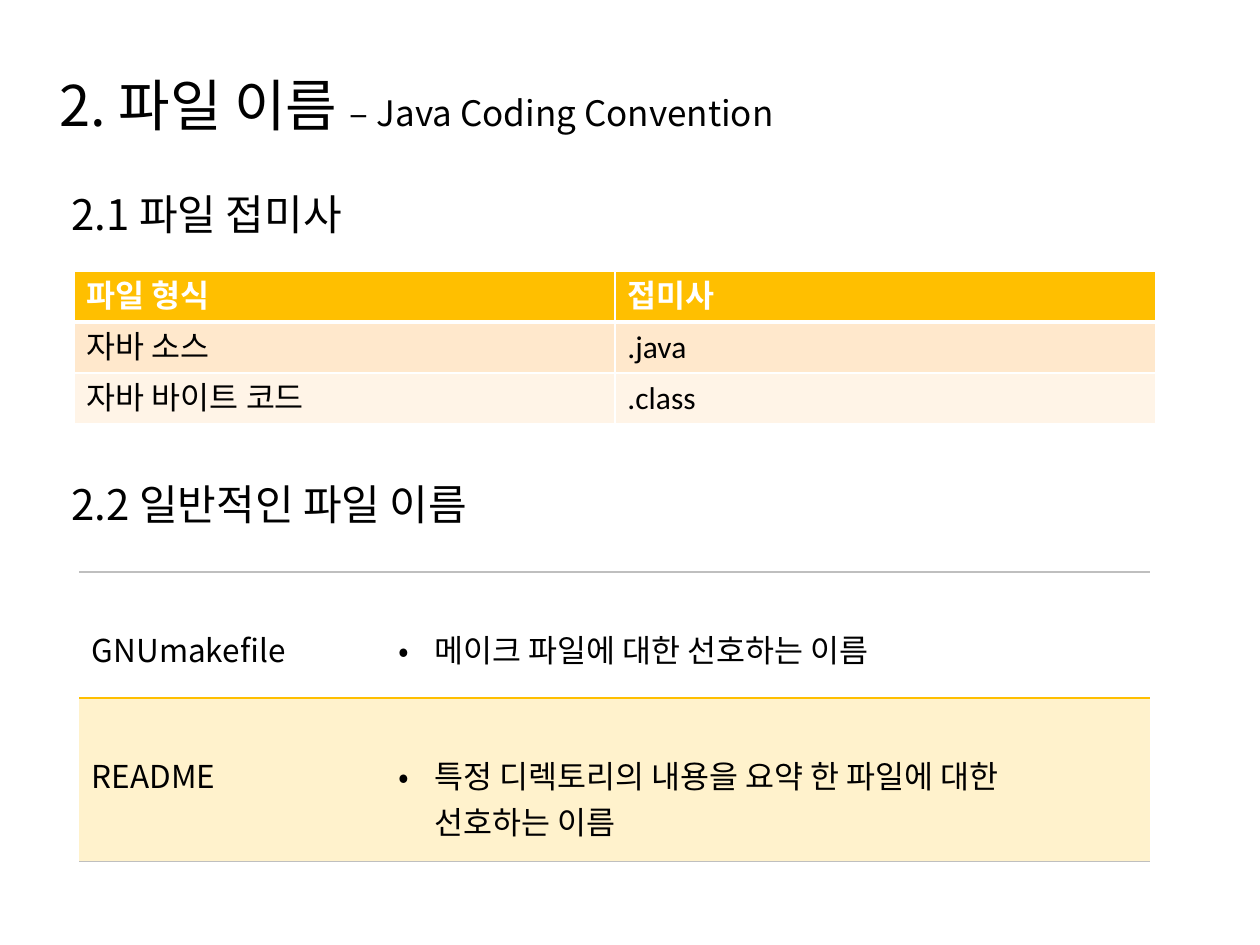
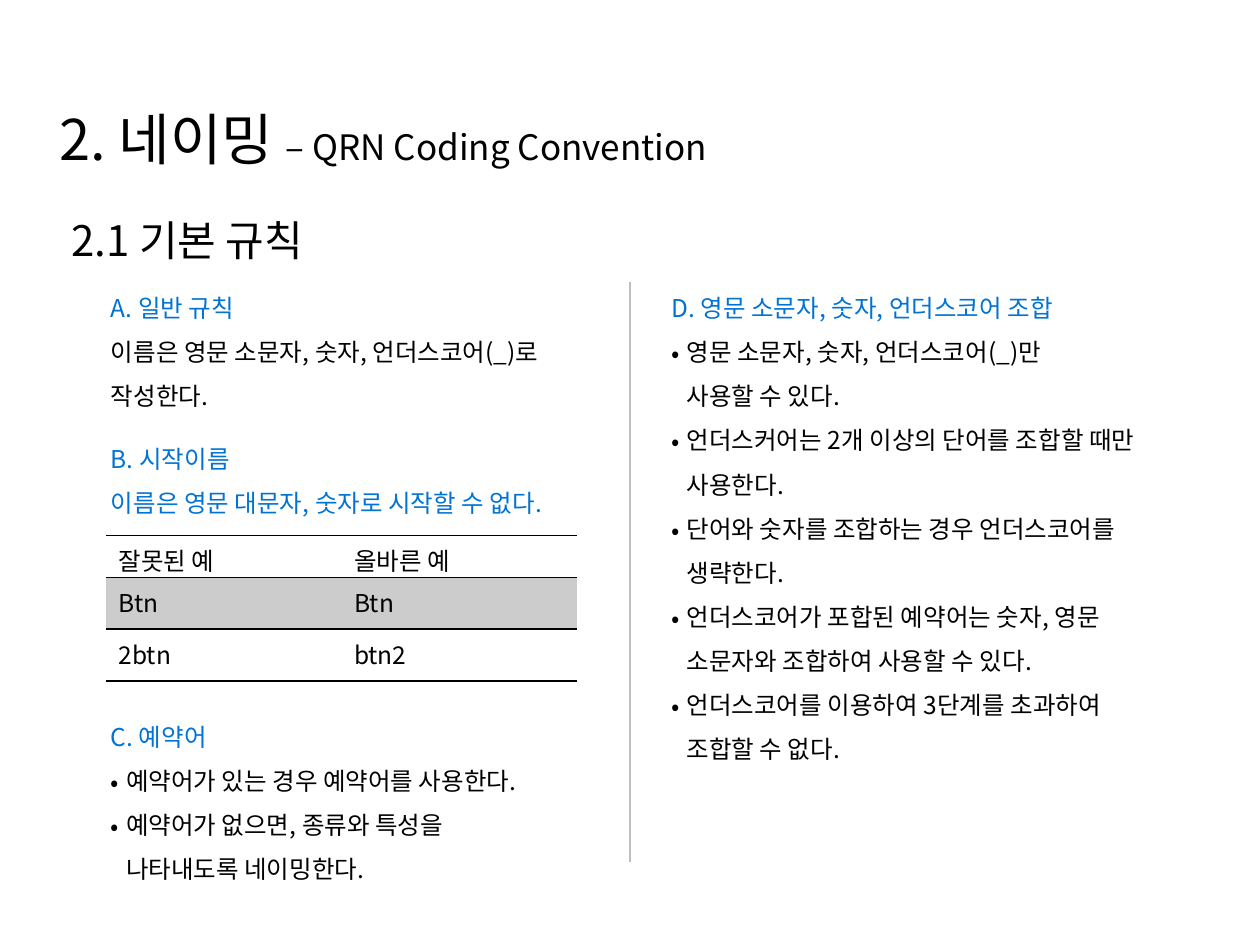
from dataclasses import dataclass

import pptx
import pptx.dml.color
import pptx.enum.shapes
import pptx.enum.text
import pptx.oxml
import pptx.oxml.ns
import pptx.util
from pptx.util import Inches

FONT = "Noto Sans CJK KR"
TABLE_FONT = "Calibri"
BLACK, WHITE, GRAY, BLUE = "000000", "FFFFFF", "BFBFBF", "0173D4"
AMBER, PALE_AMBER, MID_GRAY = "FFBF00", "FFF2CC", "CCCCCC"
PEACH, PALE_PEACH = "FFE8CC", "FFF4E7"
NO_STYLE = "{2D5ABB26-0587-4C30-8999-92F81FD0307C}"
EDGES = {"l": "a:lnL", "r": "a:lnR", "t": "a:lnT", "b": "a:lnB"}
TITLE_BOX = (0.47, 0.51, 7.73, 0.66)


@dataclass
class Para:
    text: str
    color: str = BLACK
    hang: float = 0


@dataclass
class Section:
    idx: int
    box: tuple[float, float, float, float]
    paras: list[Para]


@dataclass
class Row:
    """One table row; edges maps l, r, t, b to (colour, points)."""
    texts: list[str]
    height: float
    fill: str | None
    edges: dict[str, tuple[str, float]]
    color: str = BLACK
    bold: bool = False
    top: float = 0.05
    bottom: float = 0.05


def rgb(color: str):
    return pptx.dml.color.RGBColor.from_string(color)


def inches(box):
    return [Inches(v) for v in box]


def add_xml(parent, tag: str, **attrs: str):
    el = pptx.oxml.ns.qn(tag)
    child = parent.makeelement(el, attrs)
    parent.append(child)
    return child


def add_text(p, text: str, size: float = 14, color: str = BLACK,
             bold: bool = False, font: str = FONT) -> None:
    """Add text to a paragraph, turning newlines into line breaks."""
    for i, line in enumerate(text.split("\n")):
        if i:
            p.add_line_break()
        r = p.add_run()
        r.text = line
        r.font.size = pptx.util.Pt(size)
        r.font.bold = bold
        r.font.name = font
        r.font.color.rgb = rgb(color)
        add_xml(r._r.get_or_add_rPr(), "a:ea", typeface=font)


def set_bullet(p, hang: float) -> None:
    """Give a hanging bullet, or none when hang is zero."""
    pPr = p._p.get_or_add_pPr()
    pPr.set("marL", str(Inches(hang)))
    pPr.set("indent", str(-Inches(hang)))
    if hang:
        add_xml(pPr, "a:buFont", typeface=FONT)
        add_xml(pPr, "a:buChar", char="•")
    else:
        add_xml(pPr, "a:buNone")


def prepare_frame(sp, box, side: float = 0.1):
    sp.left, sp.top, sp.width, sp.height = inches(box)
    tf = sp.text_frame
    tf.word_wrap = True
    tf.auto_size = pptx.enum.text.MSO_AUTO_SIZE.NONE
    tf.vertical_anchor = pptx.enum.text.MSO_ANCHOR.TOP
    tf.margin_left = tf.margin_right = Inches(side)
    tf.margin_top = tf.margin_bottom = Inches(0.05)
    return tf


def add_title(s, name: str, convention: str, spacing: float = 1) -> None:
    p = prepare_frame(s.shapes.title, TITLE_BOX, side=0).paragraphs[0]
    p.alignment = pptx.enum.text.PP_ALIGN.LEFT
    p.line_spacing = spacing
    add_text(p, name + " ", size=32)
    add_text(p, "– " + convention, size=20)


def add_heading(s, text: str, box, spacing: float = 1) -> None:
    tf = prepare_frame(s.shapes.add_textbox(*inches(box)), box)
    tf.word_wrap = False
    tf.paragraphs[0].line_spacing = spacing
    add_text(tf.paragraphs[0], text, size=24)


def fill_section(s, section: Section) -> None:
    tf = prepare_frame(s.placeholders[section.idx], section.box)
    for i, para in enumerate(section.paras):
        p = tf.add_paragraph() if i else tf.paragraphs[0]
        set_bullet(p, para.hang)
        p.line_spacing = 1.5
        p.space_before = pptx.util.Pt(0)
        add_text(p, para.text, color=para.color)


def set_edges(cell, edges: dict[str, tuple[str, float]]) -> None:
    tcPr = cell._tc.get_or_add_tcPr()
    lines = []
    for side, tag in EDGES.items():
        if side in edges:
            color, points = edges[side]
            ln = add_xml(tcPr, tag, w=str(pptx.util.Pt(points)))
            add_xml(add_xml(ln, "a:solidFill"), "a:srgbClr", val=color)
            lines.append(ln)
    for i, ln in enumerate(lines):
        tcPr.insert(i, ln)


def add_table(s, left: float, top: float, widths: list[float],
              rows: list[Row], size: float = 18, font: str = FONT) -> None:
    """Draw a table; a cell text starting with a bullet sign gets a real bullet."""
    box = (left, top, sum(widths), sum(row.height for row in rows))
    table = s.shapes.add_table(len(rows), len(widths), *inches(box)).table
    table.first_row = table.horz_banding = False
    table._tbl.tblPr.find(pptx.oxml.ns.qn("a:tableStyleId")).text = NO_STYLE
    for col, width in zip(table.columns, widths):
        col.width = Inches(width)
    for r, row in enumerate(rows):
        table.rows[r].height = Inches(row.height)
        for c, text in enumerate(row.texts):
            cell = table.cell(r, c)
            cell.margin_top = Inches(row.top)
            cell.margin_bottom = Inches(row.bottom)
            if row.fill:
                cell.fill.solid()
                cell.fill.fore_color.rgb = rgb(row.fill)
            else:
                cell.fill.background()
            set_edges(cell, row.edges)
            p = cell.text_frame.paragraphs[0]
            if text.startswith("• "):
                set_bullet(p, 0.29)
                text = text.removeprefix("• ")
            add_text(p, text, size=size, color=row.color, bold=row.bold, font=font)


def add_divider(s, x: float, top: float, bottom: float) -> None:
    line = s.shapes.add_connector(
        pptx.enum.shapes.MSO_CONNECTOR.STRAIGHT, *inches((x, bottom, x, top)))
    line.line.color.rgb = rgb(GRAY)
    line.line.width = pptx.util.Pt(1)
    add_xml(line._element.spPr, "a:effectLst")


def build_file_names(prs) -> None:
    s = prs.slides.add_slide(prs.slide_layouts.get_by_name("Title Only"))
    add_title(s, "2. 파일 이름", "Java Coding Convention")

    add_heading(s, "2.1 파일 접미사", (0.47, 1.45, 2.57, 0.5))
    grid = {side: (WHITE, 1) for side in EDGES}
    thick_bottom = grid | {"b": (WHITE, 3)}
    thick_top = grid | {"t": (WHITE, 3)}
    add_table(s, 0.59, 2.15, [4.29, 4.29], [
        Row(["파일 형식", "접미사"], 0.4, AMBER, thick_bottom, WHITE, True),
        Row(["자바 소스", ".java"], 0.4, PEACH, thick_top),
        Row(["자바 바이트 코드", ".class"], 0.4, PALE_PEACH, grid),
    ], font=TABLE_FONT)

    add_heading(s, "2.2 일반적인 파일 이름", (0.47, 3.75, 3.7, 0.5))
    outer, inner = (GRAY, 0.75), (AMBER, 1)
    add_table(s, 0.63, 4.54, [2.43, 6.07], [
        Row(["GNUmakefile", "• 메이크 파일에 대한 선호하는 이름"], 1, None,
            {"t": outer, "b": inner}, top=0.43),
        Row(["README", "• 특정 디렉토리의 내용을 요약 한 파일에 대한\n선호하는 이름"],
            1.3, PALE_AMBER, {"t": inner, "b": outer}, top=0.43),
    ])


def build_naming(prs) -> None:
    s = prs.slides.add_slide(prs.slide_layouts.get_by_name("Comparison"))
    add_title(s, "2. 네이밍", "QRN Coding Convention", spacing=1.5)
    add_heading(s, "2.1 기본 규칙", (0.47, 1.45, 2.23, 0.63), spacing=1.5)

    reserved_words = [
        "예약어가 있는 경우 예약어를 사용한다.",
        "예약어가 없으면, 종류와 특성을\n나타내도록 네이밍한다.",
    ]
    combinations = [
        "영문 소문자, 숫자, 언더스코어(_)만\n사용할 수 있다.",
        "언더스커어는 2개 이상의 단어를 조합할 때만\n사용한다.",
        "단어와 숫자를 조합하는 경우 언더스코어를\n생략한다.",
        "언더스코어가 포합된 예약어는 숫자, 영문\n소문자와 조합하여 사용할 수 있다.",
        "언더스코어를 이용하여 3단계를 초과하여\n조합할 수 없다.",
    ]

    def bullets(texts: list[str]) -> list[Para]:
        return [Para(text, hang=0.12) for text in texts]

    left, width = 0.78, 3.98
    for section in [
        Section(1, (left, 2.16, width, 1.16), [
            Para("A. 일반 규칙", BLUE),
            Para("이름은 영문 소문자, 숫자, 언더스코어(_)로 작성한다.")]),
        Section(2, (left, 3.36, width, 0.76), [
            Para("B. 시작이름", BLUE),
            Para("이름은 영문 대문자, 숫자로 시작할 수 없다.", BLUE)]),
        Section(3, (left, 5.56, width, 1.51),
                [Para("C. 예약어", BLUE), *bullets(reserved_words)]),
        Section(4, (5.23, 2.16, 4.49, 3.99),
                [Para("D. 영문 소문자, 숫자, 언더스코어 조합", BLUE),
                 *bullets(combinations)]),
    ]:
        fill_section(s, section)

    add_divider(s, 5, 2.24, 6.84)
    rule = (BLACK, 1)
    add_table(s, 0.84, 4.25, [1.87, 1.87], [
        Row(["잘못된 예", "올바른 예"], 0.33, None, {"t": rule, "b": rule}, bottom=0),
        Row(["Btn", "Btn"], 0.41, MID_GRAY, {"t": rule}),
        Row(["2btn", "btn2"], 0.41, None, {"b": rule}),
    ], size=14)


def main() -> None:
    prs = pptx.Presentation()
    prs.slide_width, prs.slide_height = Inches(10), Inches(7.5)
    build_file_names(prs)
    build_naming(prs)
    prs.save("out.pptx")


if __name__ == "__main__":
    main()
